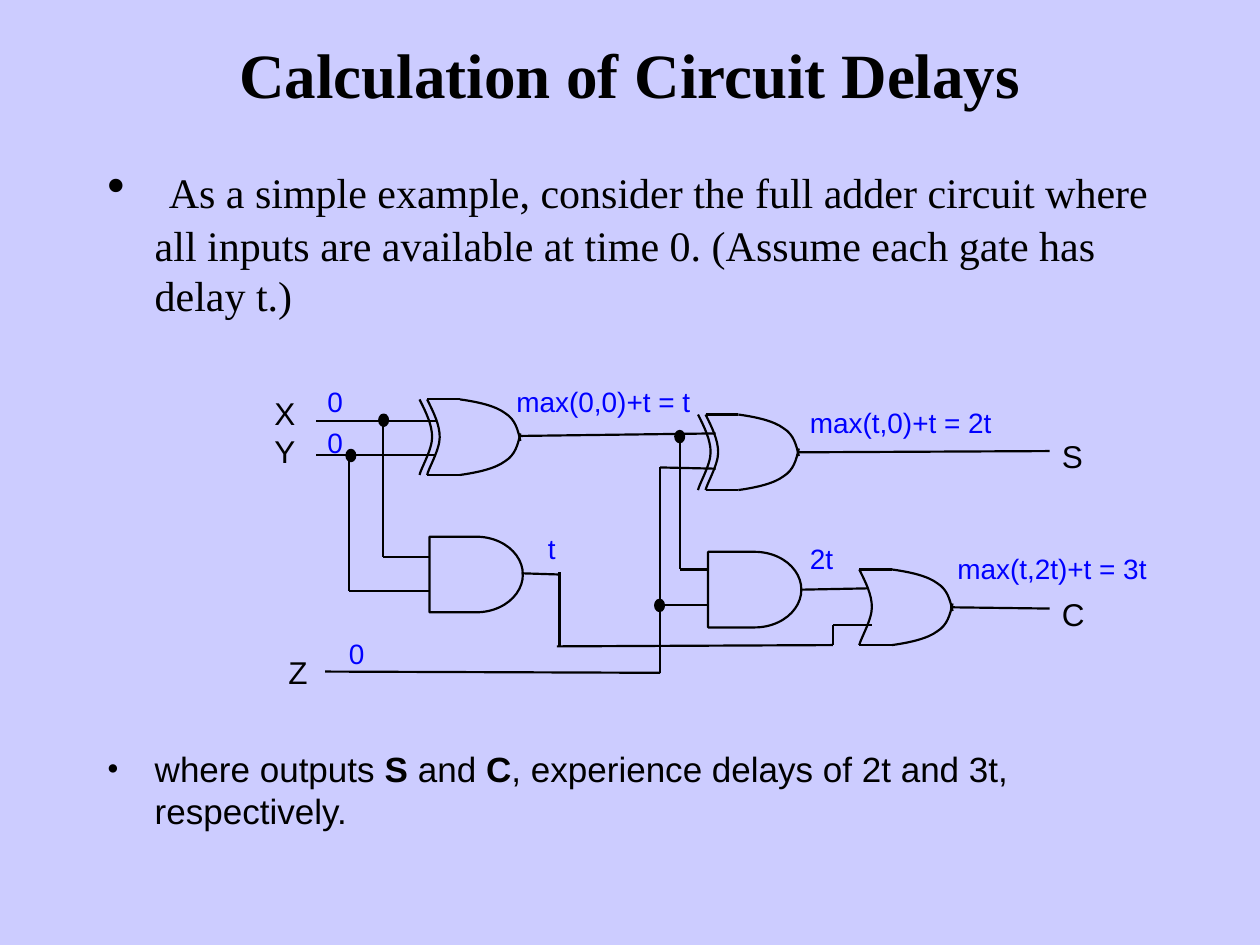
from lxml import etree
from pptx import Presentation
from pptx.dml.color import RGBColor
from pptx.enum.shapes import MSO_CONNECTOR, MSO_SHAPE
from pptx.enum.text import MSO_ANCHOR, PP_ALIGN
from pptx.oxml.ns import qn
from pptx.util import Inches, Pt

STRAIGHT = MSO_CONNECTOR.STRAIGHT
DELAY = MSO_SHAPE.FLOWCHART_DELAY
OVAL = MSO_SHAPE.OVAL
MIDDLE = MSO_ANCHOR.MIDDLE
CENTER = PP_ALIGN.CENTER
BLACK, BLUE, LAVENDER = "000000", "0000FF", "CCCCFF"


def write_run(paragraph, text, size, face="Arial", color=BLACK, bold=False):
    run = paragraph.add_run()
    run.text = text
    formats = {"size": Pt(size), "name": face, "bold": bold}
    for attribute, value in formats.items():
        setattr(run.font, attribute, value)
    run.font.color.rgb = RGBColor.from_string(color)


def draw_outline(part):
    part.line.color.rgb = RGBColor.from_string(BLACK)
    part.line.width = Pt(1.25)
    etree.SubElement(part._element.spPr, qn("a:effectLst"))


presentation = Presentation()
presentation.slide_width, presentation.slide_height = Inches(10), Inches(7.5)
slide = presentation.slides.add_slide(presentation.slide_layouts[5])
slide.background.fill.solid()
slide.background.fill.fore_color.rgb = RGBColor.from_string(LAVENDER)
shapes = slide.shapes

title = shapes.title
title.left, title.top, title.width, title.height = map(Inches, (0.75, 0, 8.5, 1.17))
title.text_frame.vertical_anchor = MIDDLE
heading = title.text_frame.paragraphs[0]
heading.alignment = CENTER
write_run(heading, "Calculation of Circuit Delays", 36, "Times New Roman", bold=True)

body = shapes.add_textbox(*map(Inches, (0.75, 1.16, 8.5, 5.67))).text_frame
body.word_wrap = True
example, conclusion = body.paragraphs[0], body.add_paragraph()
for bullet_point in (example, conclusion):
    properties = bullet_point._p.get_or_add_pPr()
    properties.set("marL", str(Inches(0.38)))
    properties.set("indent", str(Inches(-0.38)))
    etree.SubElement(properties, qn("a:buFont")).set("typeface", "Times New Roman")
    etree.SubElement(properties, qn("a:buChar")).set("char", "•")
conclusion.space_before = Pt(244)
write_run(example, " ", 32, "Times New Roman")
write_run(example, "As a simple example, consider the full adder circuit where all inputs "
          "are available at time 0. (Assume each gate has delay t.)", 24, "Times New Roman")
for text, bold in (("where outputs ", False), ("S", True), (" and ", False), ("C", True),
                   (", experience delays of 2t and 3t, respectively.", False)):
    write_run(conclusion, text, 20, bold=bold)

for left, top in ((3.41, 4.26), (5.62, 4.38)):
    and_gate = shapes.add_shape(DELAY, *map(Inches, (left, top, 0.74, 0.6)))
    and_gate.fill.background()
    draw_outline(and_gate)

wires = [
    (2.51, 3.34, 3.46, 3.34), (2.51, 3.61, 3.46, 3.61), (4.13, 3.46, 5.68, 3.44),
    (3.04, 3.34, 3.04, 4.42), (3.04, 4.42, 3.41, 4.42),
    (2.77, 3.61, 2.77, 4.69), (2.77, 4.69, 3.41, 4.69),
    (4.14, 4.55, 4.45, 4.56), (4.44, 5.13, 4.44, 4.54), (4.42, 5.13, 6.61, 5.12),
    (6.61, 5.12, 6.61, 4.96), (6.61, 4.96, 6.92, 4.96),
    (5.4, 3.44, 5.4, 4.52), (5.4, 4.52, 5.61, 4.52),
    (2.58, 5.33, 5.24, 5.34), (5.24, 3.71, 5.24, 5.34),
    (5.24, 3.71, 5.68, 3.72), (5.24, 4.8, 5.63, 4.8),
    (6.34, 3.59, 8.33, 3.58), (6.36, 4.68, 6.88, 4.67), (7.54, 4.82, 8.33, 4.83),
]

back = [(0, 0), (0.05, 0.1), (0.1, 0.2), (0.1, 0.3), (0.1, 0.4), (0.01, 0.55), (0, 0.6)]
upper = [(0.26, 0), (0.4, 0.02), (0.54, 0.05), (0.62, 0.11), (0.7, 0.16), (0.72, 0.24), (0.74, 0.33)]
lower = [(x, 0.6 - y) for x, y in upper]
extra_back = [(x - 0.06, y) for x, y in back]

for left, top, exclusive in ((3.39, 3.17, True), (5.6, 3.29, True), (6.82, 4.52, False)):
    wires += [(left, y, left + 0.26, y) for y in (top, top + 0.6)]
    for curve in [back, upper, lower] + [extra_back] * exclusive:
        points = [(Inches(left + x), Inches(top + y)) for x, y in curve]
        builder = shapes.build_freeform(*points[0])
        builder.add_line_segments(points[1:], close=False)
        gate_edge = builder.convert_to_shape()
        segments = list(gate_edge._element.iter(qn("a:lnTo")))
        outline = segments[0].getparent()
        for first in (0, 3):
            bend = etree.SubElement(outline, qn("a:cubicBezTo"))
            for segment in segments[first:first + 3]:
                bend.append(segment[0])
                outline.remove(segment)
        gate_edge.fill.background()
        draw_outline(gate_edge)

for ends in wires:
    draw_outline(shapes.add_connector(STRAIGHT, *map(Inches, ends)))

for left, top in ((2.75, 3.57), (3.01, 3.29), (5.2, 4.76), (5.36, 3.42)):
    junction = shapes.add_shape(OVAL, *map(Inches, (left, top, 0.07, 0.09)))
    junction.fill.solid()
    junction.fill.fore_color.rgb = RGBColor.from_string(BLACK)
    draw_outline(junction)

signals = [
    (2.08, 3.08, 0.42, 0.6, ("X", "Y")), (2.19, 5.13, 0.42, 0.38, ("Z",)),
    (8.33, 3.42, 0.42, 0.38, ("S",)), (8.33, 4.67, 0.42, 0.38, ("C",)),
]
delays = [
    (2.5, 3, 0.33, 0.38, ("0",)), (2.5, 3.33, 0.33, 0.38, ("0",)), (2.67, 5, 0.33, 0.38, ("0",)),
    (4, 3, 1.65, 0.38, ("max(0,0)+t = t",)), (4.25, 4.17, 0.26, 0.38, ("t",)),
    (6.33, 3.17, 1.75, 0.38, ("max(t,0)+t = 2t",)), (6.33, 4.25, 0.42, 0.38, ("2t",)),
    (7.5, 4.33, 1.75, 0.38, ("max(t,2t)+t = 3t",)),
]
for labels, size, color in ((signals, 18, BLACK), (delays, 16, BLUE)):
    for *place, names in labels:
        label = shapes.add_textbox(*map(Inches, place)).text_frame
        label.word_wrap = True
        for index, name in enumerate(names):
            line = label.add_paragraph() if index else label.paragraphs[0]
            write_run(line, name, size, color=color)

presentation.save("out.pptx")
